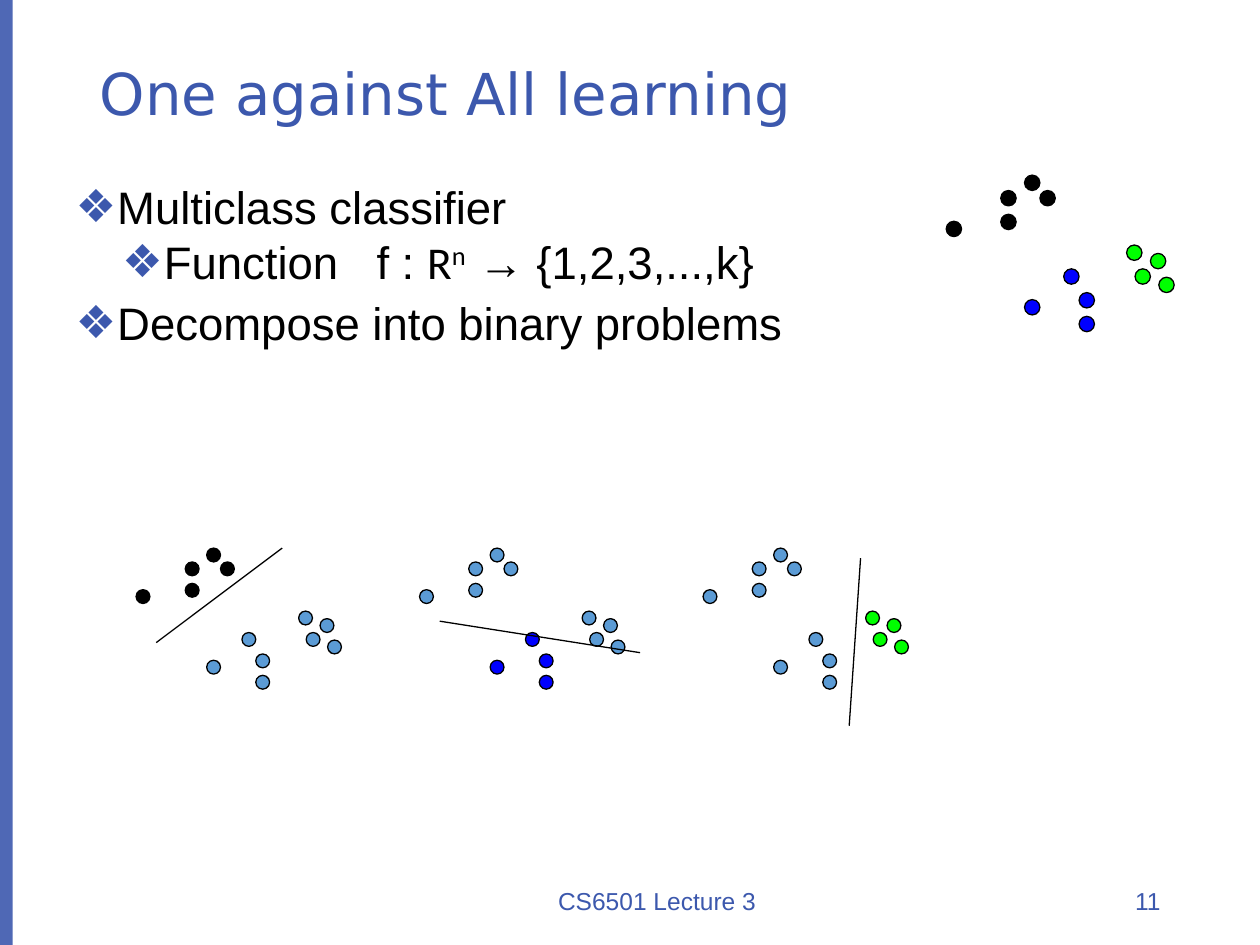
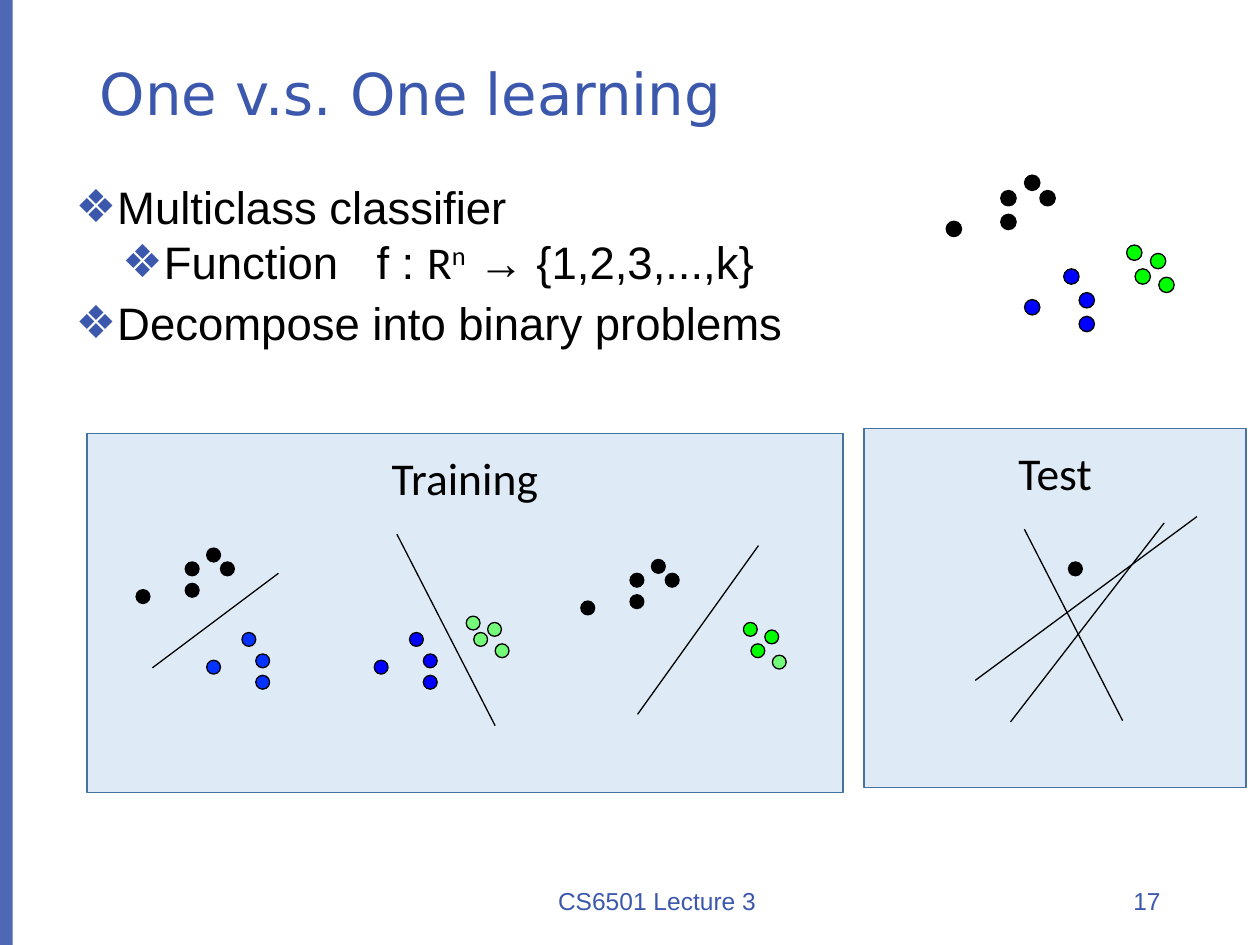
from lxml import etree
from pptx import Presentation
from pptx.dml.color import RGBColor
from pptx.enum.shapes import MSO_CONNECTOR, MSO_SHAPE
from pptx.enum.text import MSO_ANCHOR as Anchor, MSO_AUTO_SIZE, PP_ALIGN as Align
from pptx.oxml.ns import qn
from pptx.util import Inches, Pt

ACCENT = RGBColor(0x3C, 0x58, 0xAD)
BLACK = RGBColor(0x00, 0x00, 0x00)
BLUE = RGBColor(0x00, 0x00, 0xFF)
BRIGHT_BLUE = RGBColor(0x04, 0x32, 0xFF)
GREEN = RGBColor(0x00, 0xFF, 0x00)
LIGHT_GREEN = RGBColor(0x73, 0xFB, 0x79)
REST = RGBColor(0x5B, 0x9B, 0xD5)
PANEL_FILL = RGBColor(0xDE, 0xEB, 0xF7)
PANEL_LINE = RGBColor(0x43, 0x73, 0x9E)

# Text styles
TITLE_FONT = {"name": "DejaVu Sans", "size": Pt(33)}
BODY_FONT = {"name": "Arial", "size": Pt(26)}
MATH_FONT = {"name": "Calibri", "size": Pt(26)}
FOOTER_FONT = {"name": "Arial", "size": Pt(14)}

# Body list: level and runs of (text, font, extra run attributes)
WIDE_GAP = {"spc": "1445"}
BULLETS = [
    (0, [("Multiclass classifier", BODY_FONT, {})]),
    (1, [("Function", BODY_FONT, {}), (" ", BODY_FONT, WIDE_GAP),
         ("f : ", BODY_FONT, {}), ("R", MATH_FONT, {}),
         ("n", MATH_FONT, {"baseline": "30000"}),
         (" → {1,2,3,...,k}", BODY_FONT, {})]),
    (0, [("Decompose into binary problems", BODY_FONT, {})]),
]
# Left margin, hanging indent (inches) and space before (points) by level
LEVELS = [(0.33, -0.33, 7.5), (0.7, -0.33, 3.8)]

# Dot offsets of each class from the corner of its scatter
CLUSTERS = {
    "black": [(0, 0.33), (0.39, 0.11), (0.56, 0), (0.67, 0.11), (0.39, 0.28)],
    "blue": [(0.56, 0.89), (0.84, 0.67), (0.95, 0.84), (0.95, 1.01)],
    "green": [(1.29, 0.5), (1.46, 0.56), (1.35, 0.67), (1.52, 0.73)],
    "loose green": [(1.29, 0.54), (1.46, 0.59), (1.35, 0.67), (1.52, 0.76)],
    "green trio": [(1.29, 0.5), (1.46, 0.56), (1.35, 0.67)],
    "low green": [(1.52, 0.76)],
    "single": [(0, 0)],
}
DOT = 0.11
OVERVIEW = ((7.51, 1.39), {"black": BLACK, "blue": BLUE, "green": GREEN})
OVERVIEW_SCALE = 1.11
FIRST_X, SCATTER_Y, SCATTER_STEP = 1.08, 4.35, 2.25

ONE_AGAINST_ALL = [
    {"black": BLACK, "blue": REST, "green": REST},
    {"black": REST, "blue": BLUE, "green": REST},
    {"black": REST, "blue": REST, "green": GREEN},
]

SLIDES = [
    {
        "title": "One against All learning",
        "number": "11",
        "panels": [],
        "scatters": [((FIRST_X + i * SCATTER_STEP, SCATTER_Y), colours)
                     for i, colours in enumerate(ONE_AGAINST_ALL)],
        "separators": [(2.24, 4.35, 1.24, 5.1), (3.49, 4.93, 5.08, 5.18),
                       (6.83, 4.43, 6.74, 5.76)],
    },
    {
        "title": "One v.s. One learning",
        "number": "17",
        "panels": [("Training", (0.69, 3.44, 6, 2.85)),
                   ("Test", (6.86, 3.4, 3.03, 2.85))],
        "scatters": [
            ((FIRST_X, SCATTER_Y), {"black": BLACK, "blue": BRIGHT_BLUE}),
            ((2.41, SCATTER_Y), {"blue": BLUE, "loose green": LIGHT_GREEN}),
            ((4.61, 4.44), {"black": BLACK, "green trio": GREEN,
                            "low green": LIGHT_GREEN}),
            ((8.48, 4.46), {"single": BLACK}),
        ],
        "separators": [(2.21, 4.55, 1.21, 5.3), (3.15, 4.24, 3.93, 5.76),
                       (6.02, 4.33, 5.06, 5.67), (8.13, 4.2, 8.91, 5.72),
                       (9.5, 4.1, 7.74, 5.4), (9.24, 4.15, 8.02, 5.73)],
    },
]


def place(shape, *box):
    for side, value in zip(("left", "top", "width", "height"), box):
        setattr(shape, side, Inches(value))


def add_run(paragraph, text, font, colour):
    run = paragraph.add_run()
    run.text = text
    for name, value in font.items():
        setattr(run.font, name, value)
    run.font.color.rgb = colour
    return run


def add_shape(slide, kind, box, fill, line=None, line_width=0.75):
    shape = slide.shapes.add_shape(kind, *map(Inches, box))
    shape.shadow.inherit = False
    shape.fill.solid()
    shape.fill.fore_color.rgb = fill
    if line is None:
        shape.line.fill.background()
    else:
        shape.line.color.rgb = line
        shape.line.width = Pt(line_width)
    return shape


def add_band(slide):
    band = add_shape(slide, MSO_SHAPE.RECTANGLE, (0, 0, 0.1, 7.5), ACCENT)
    colour = band.element.spPr.find(qn("a:solidFill"))[0]
    etree.SubElement(colour, qn("a:alpha"), val="90000")


def add_title(slide, text):
    title = slide.shapes.title
    place(title, 0.69, 0.4, 8.62, 0.74)
    frame = title.text_frame
    frame.auto_size = MSO_AUTO_SIZE.NONE
    frame.vertical_anchor = Anchor.MIDDLE
    paragraph = frame.paragraphs[0]
    paragraph.alignment = Align.LEFT
    paragraph.line_spacing = 0.9
    add_run(paragraph, text, TITLE_FONT, ACCENT)


def set_bullet(paragraph, margin, indent):
    properties = paragraph._p.get_or_add_pPr()
    properties.set("marL", str(Inches(margin)))
    properties.set("indent", str(Inches(indent)))
    colour = etree.SubElement(properties, qn("a:buClr"))
    etree.SubElement(colour, qn("a:srgbClr"), val=str(ACCENT))
    etree.SubElement(properties, qn("a:buChar"), char="❖")


def add_body(slide):
    body = slide.placeholders[1]
    place(body, 0.5, 1.43, 9, 5.25)
    frame = body.text_frame
    frame.auto_size = MSO_AUTO_SIZE.NONE
    for index, (level, runs) in enumerate(BULLETS):
        paragraph = frame.add_paragraph() if index else frame.paragraphs[0]
        margin, indent, space_before = LEVELS[level]
        paragraph.level = level
        paragraph.line_spacing = 0.88
        paragraph.space_before = Pt(space_before)
        set_bullet(paragraph, margin, indent)
        for text, font, extras in runs:
            run = add_run(paragraph, text, font, BLACK)
            for name, value in extras.items():
                run._r.get_or_add_rPr().set(name, value)


def add_panel(slide, label, box):
    panel = add_shape(slide, MSO_SHAPE.RECTANGLE, box, PANEL_FILL, PANEL_LINE, 1)
    frame = panel.text_frame
    frame.vertical_anchor = Anchor.TOP
    frame.margin_top = Inches(0.13)
    paragraph = frame.paragraphs[0]
    paragraph.alignment = Align.CENTER
    add_run(paragraph, label, MATH_FONT, BLACK)


def add_scatter(slide, corner, colours, scale=1):
    left, top = corner
    size = DOT * scale
    for cluster, colour in colours.items():
        for x, y in CLUSTERS[cluster]:
            box = (left + x * scale, top + y * scale, size, size)
            add_shape(slide, MSO_SHAPE.OVAL, box, colour, BLACK)


def add_separator(slide, ends):
    line = slide.shapes.add_connector(MSO_CONNECTOR.STRAIGHT, *map(Inches, ends))
    line.line.color.rgb = BLACK
    line.line.width = Pt(0.75)
    etree.SubElement(line.element.spPr, qn("a:effectLst"))


def add_footer(slide, text, box, alignment):
    footer = slide.shapes.add_textbox(*map(Inches, box))
    frame = footer.text_frame
    frame.word_wrap = True
    frame.vertical_anchor = Anchor.MIDDLE
    paragraph = frame.paragraphs[0]
    paragraph.alignment = alignment
    add_run(paragraph, text, FOOTER_FONT, ACCENT)


def main():
    presentation = Presentation()
    presentation.slide_width = Inches(10)
    presentation.slide_height = Inches(7.5)
    layout = presentation.slide_layouts[1]

    for content in SLIDES:
        slide = presentation.slides.add_slide(layout)
        # Shared frame
        add_band(slide)
        add_title(slide, content["title"])
        add_body(slide)
        add_scatter(slide, *OVERVIEW, OVERVIEW_SCALE)
        # Binary problems
        for label, box in content["panels"]:
            add_panel(slide, label, box)
        for corner, colours in content["scatters"]:
            add_scatter(slide, corner, colours)
        for ends in content["separators"]:
            add_separator(slide, ends)
        # Footers
        add_footer(slide, "CS6501 Lecture 3", (3.31, 6.95, 3.81, 0.4), Align.CENTER)
        add_footer(slide, content["number"], (7.85, 6.95, 1.46, 0.4), Align.RIGHT)

    presentation.save("out.pptx")


if __name__ == "__main__":
    main()
